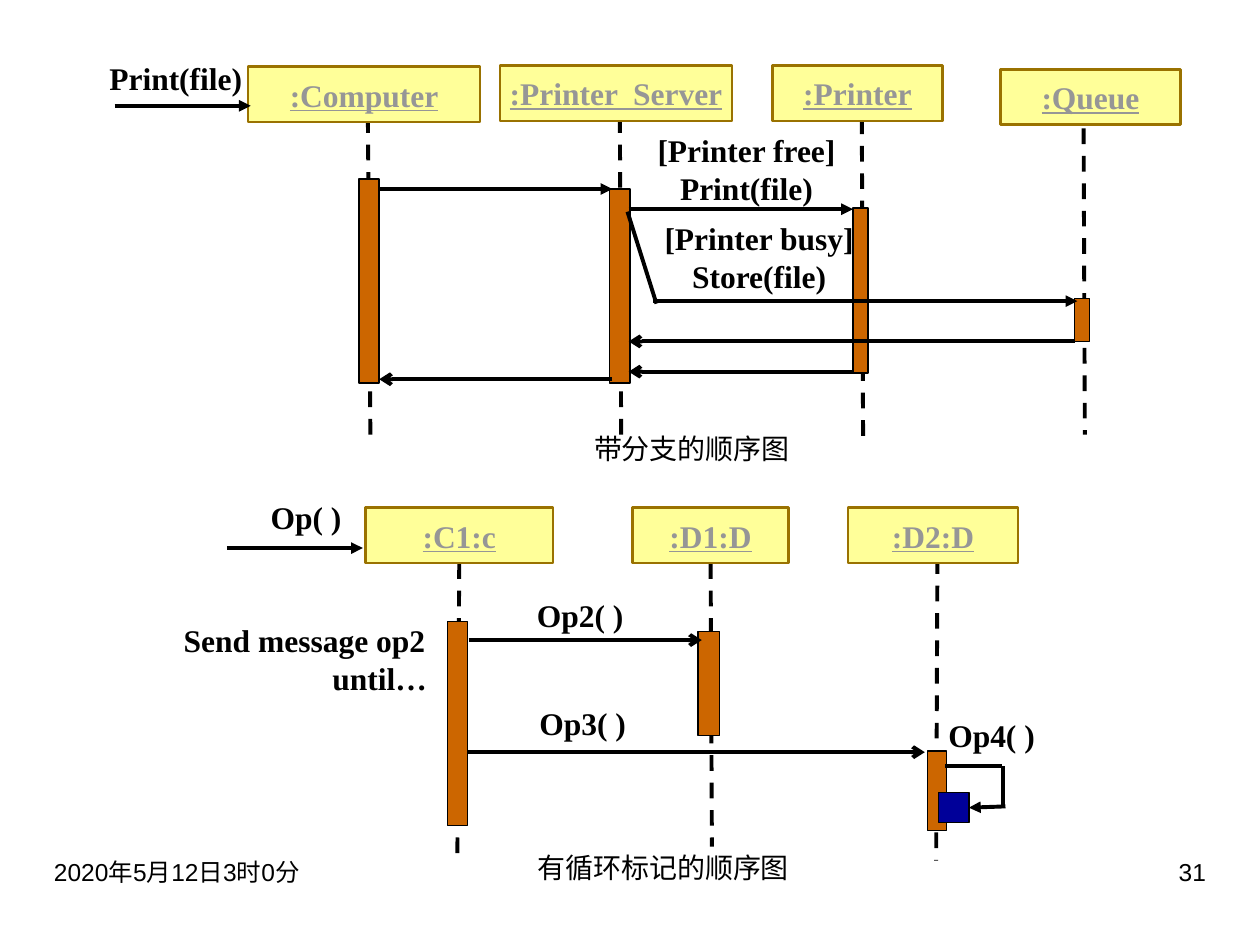
from dataclasses import dataclass

from lxml import etree
from pptx import Presentation
from pptx.dml.color import RGBColor
from pptx.enum.dml import MSO_LINE
from pptx.enum.shapes import MSO_CONNECTOR, MSO_SHAPE
from pptx.enum.text import MSO_ANCHOR, PP_ALIGN
from pptx.oxml.ns import qn
from pptx.util import Inches, Pt

RECT = MSO_SHAPE.RECTANGLE
STRAIGHT = MSO_CONNECTOR.STRAIGHT
DASH = MSO_LINE.DASH
MIDDLE = MSO_ANCHOR.MIDDLE
LEFT, CENTER, RIGHT = PP_ALIGN.LEFT, PP_ALIGN.CENTER, PP_ALIGN.RIGHT
BOTTOM_SIDE, RIGHT_SIDE = 2, 3
SOLID, OPEN = "triangle", "arrow"
HEAD_HEIGHT = 0.44


@dataclass(frozen=True)
class Theme:
    ink: str = "000000"
    head: str = "FFFF99"
    edge: str = "9A7200"
    name: str = "969696"
    bar: str = "CC6600"
    nested: str = "000099"
    serif: str = "Times New Roman"
    sans: str = "Arial"
    label: float = 18
    caption: float = 16
    footer: float = 14
    stroke: float = 2.25
    frame: float = 1.5
    thin: float = 0.75


THEME = Theme()
LABEL = {"name": THEME.serif, "size": Pt(THEME.label), "bold": True}
NAME = {**LABEL, "underline": True}
CAPTION = {"name": THEME.serif, "size": Pt(THEME.caption)}
FOOTER = {"name": THEME.sans, "size": Pt(THEME.footer)}


def place(box, part):
    """Turn a part's inches within a box into slide lengths."""
    x, y, *size = part
    return [Inches(v) for v in (box[0] + x, box[1] + y, *size)]


def write(frame, lines, style, color=THEME.ink, align=LEFT):
    for i, line in enumerate(lines):
        para = frame.paragraphs[0] if i == 0 else frame.add_paragraph()
        para.alignment = align
        run = para.add_run()
        run.text = line
        for key, value in style.items():
            setattr(run.font, key, value)
        run.font.color.rgb = RGBColor.from_string(color)


def add_text(slide, box, part, lines, style=LABEL, align=LEFT):
    frame = slide.shapes.add_textbox(*place(box, part)).text_frame
    frame.word_wrap = True
    write(frame, lines, style, align=align)
    return frame


def add_rect(slide, box, part, fill, line=THEME.ink, width=THEME.thin):
    rect = slide.shapes.add_shape(RECT, *place(box, part))
    rect.shadow.inherit = False
    rect.fill.solid()
    rect.fill.fore_color.rgb = RGBColor.from_string(fill)
    rect.line.color.rgb = RGBColor.from_string(line)
    rect.line.width = Pt(width)
    return rect


def add_line(slide, box, start, end, tip=None, dash=None):
    line = slide.shapes.add_connector(
        STRAIGHT, *place(box, start), *place(box, end))
    line.line.color.rgb = RGBColor.from_string(THEME.ink)
    line.line.width = Pt(THEME.stroke)
    line.line.dash_style = dash
    props = line._element.spPr
    if tip:
        etree.SubElement(props.find(qn("a:ln")), qn("a:tailEnd"), type=tip)
    etree.SubElement(props, qn("a:effectLst"))
    return line


def add_lane(slide, box, name, head, bar, start, end):
    """Draw one object: its lifeline, name box and activation bar."""
    x, y, width = head
    life = add_line(slide, box, start, end, dash=DASH)
    rect = add_rect(slide, box, (x, y, width, HEAD_HEIGHT),
                    THEME.head, THEME.edge, THEME.frame)
    rect.text_frame.word_wrap = False
    rect.text_frame.vertical_anchor = MIDDLE
    write(rect.text_frame, [name], NAME, THEME.name, CENTER)
    if abs(x + width / 2 - start[0]) < 0.02:
        life.begin_connect(rect, BOTTOM_SIDE)
    add_rect(slide, box, bar, THEME.bar)


def add_branch(slide, box):
    lanes = [
        (":Computer", (1.47, 0.13, 1.84), (2.35, 1.02, 0.16, 1.62),
         (2.42, 0.53), (2.44, 3.07)),
        (":Printer  Server", (3.47, 0.12, 1.84), (4.34, 1.1, 0.16, 1.54),
         (4.42, 0.53), (4.43, 3.07)),
        (":Printer", (5.63, 0.12, 1.35), (6.27, 1.25, 0.12, 1.31),
         (6.34, 0.54), (6.35, 3.08)),
        (":Queue", (7.44, 0.15, 1.43), (8.03, 1.97, 0.12, 0.34),
         (8.1, 0.62), (8.11, 3.05)),
    ]
    calls = [
        ((0.41, 0.44), (1.49, 0.44), SOLID),
        ((2.52, 1.1), (4.36, 1.1), SOLID),
        ((4.36, 2.61), (2.51, 2.61), OPEN),
        ((4.49, 1.26), (6.27, 1.26), SOLID),
        ((4.48, 1.28), (4.71, 2.01), None),
        ((4.68, 1.99), (8.05, 1.99), SOLID),
        ((8.03, 2.31), (4.49, 2.31), OPEN),
        ((6.27, 2.55), (4.49, 2.55), OPEN),
    ]
    for lane in lanes:
        add_lane(slide, box, *lane)
    for call in calls:
        add_line(slide, box, *call)
    add_text(slide, box, (0.27, 0.02, 1.66, 0.4), ["Print(file)"])
    add_text(slide, box, (4.48, 0.59, 1.89, 0.7),
             ["[Printer free]", "Print(file)"], align=CENTER)
    add_text(slide, box, (4.58, 1.29, 1.89, 0.7),
             ["[Printer busy]", "Store(file)"], align=CENTER)
    add_text(slide, box, (2.84, 2.98, 4.08, 0.37), ["　带分支的顺序图"],
             CAPTION, CENTER)


def add_loop(slide, box):
    lanes = [
        (":C1:c", (1.9, 0.13, 1.49), (2.55, 1.03, 0.16, 1.62),
         (2.63, 0.6), (2.63, 2.89)),
        (":D1:D", (4.02, 0.13, 1.24), (4.54, 1.11, 0.17, 0.83),
         (4.65, 0.55), (4.65, 2.82)),
        (":D2:D", (5.73, 0.13, 1.35), (6.36, 2.06, 0.15, 0.63),
         (6.44, 0.53), (6.43, 2.93)),
    ]
    calls = [
        ((0.8, 0.45), (1.88, 0.45), SOLID),
        ((2.72, 1.18), (4.57, 1.18), OPEN),
        ((2.71, 2.07), (6.34, 2.07), OPEN),
        ((6.5, 2.18), (6.95, 2.18), None),
        ((6.96, 2.18), (6.96, 2.5), None),
    ]
    labels = [
        ("Op( )", (1.05, 0, 1.06, 0.4), LEFT),
        ("Op2( )", (2.66, 0.78, 1.89, 0.4), CENTER),
        ("Op3( )", (2.68, 1.64, 1.89, 0.4), CENTER),
        ("Op4( )", (6.21, 1.73, 1.32, 0.4), CENTER),
    ]
    for lane in lanes:
        add_lane(slide, box, *lane)
    for call in calls:
        add_line(slide, box, *call)
    nested = add_rect(slide, box, (6.45, 2.39, 0.24, 0.24), THEME.nested)
    back = add_line(slide, box, (6.98, 2.5), (6.69, 2.51), SOLID)
    back.end_connect(nested, RIGHT_SIDE)
    for text, part, align in labels:
        add_text(slide, box, part, [text], align=align)
    add_text(slide, box, (3.17, 2.8, 3.43, 0.37), ["有循环标记的顺序图"], CAPTION)
    note = add_text(slide, box, (0.36, 0.98, 2.33, 0.7),
                    ["Send message op2", "until…"])
    indent = note.paragraphs[1]._p.get_or_add_pPr()
    indent.set("marL", str(Inches(1.18)))
    indent.set("indent", "0")


def add_footer(slide, box):
    width, height = 2.5, box[3]
    add_text(slide, box, (0, 0, width, height), ["2020年5月12日3时0分"], FOOTER)
    add_text(slide, box, (box[2] - width, 0, width, height), ["31"],
             FOOTER, RIGHT)


def main():
    deck = Presentation()
    deck.slide_width, deck.slide_height = Inches(10), Inches(7.5)
    slide = deck.slides.add_slide(deck.slide_layouts[6])
    add_footer(slide, (0.33, 6.75, 9.34, 0.52))
    add_branch(slide, (0.5, 0.4, 9, 3.4))
    add_loop(slide, (1, 3.9, 7.6, 3.2))
    deck.save("out.pptx")


if __name__ == "__main__":
    main()
